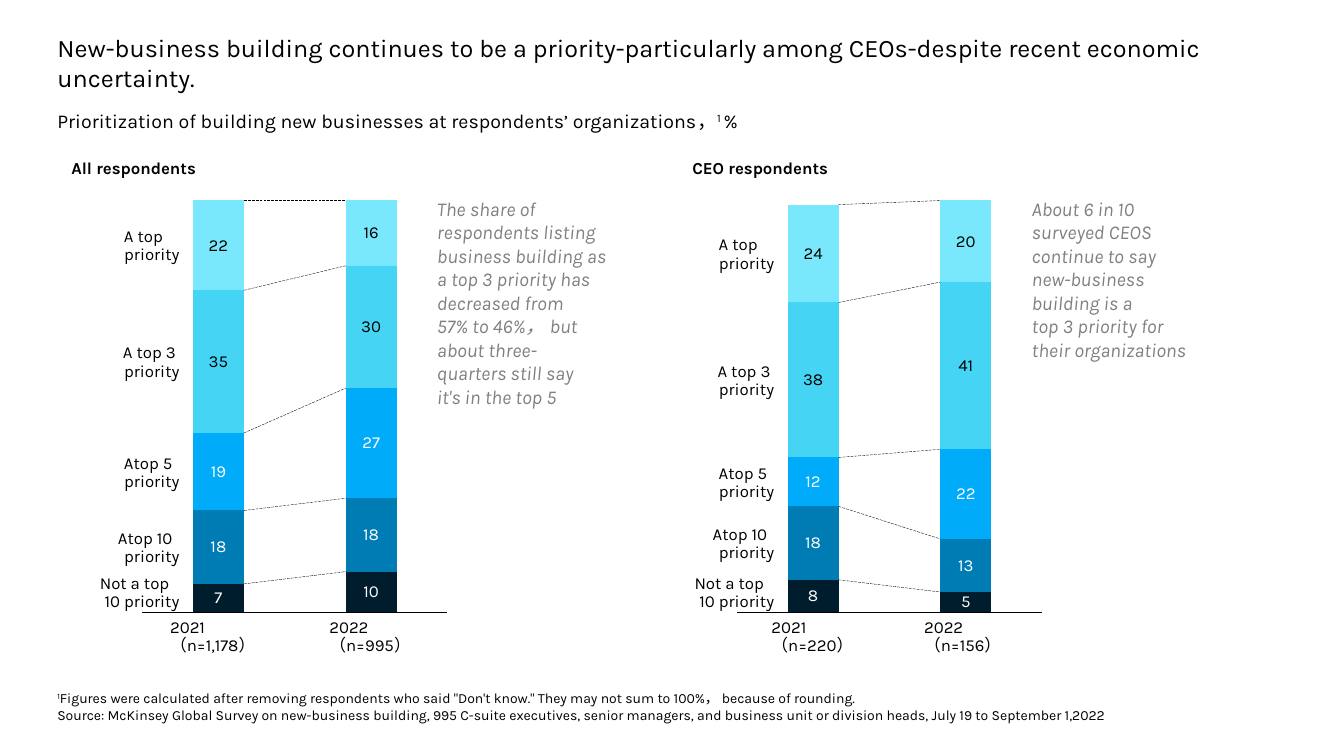
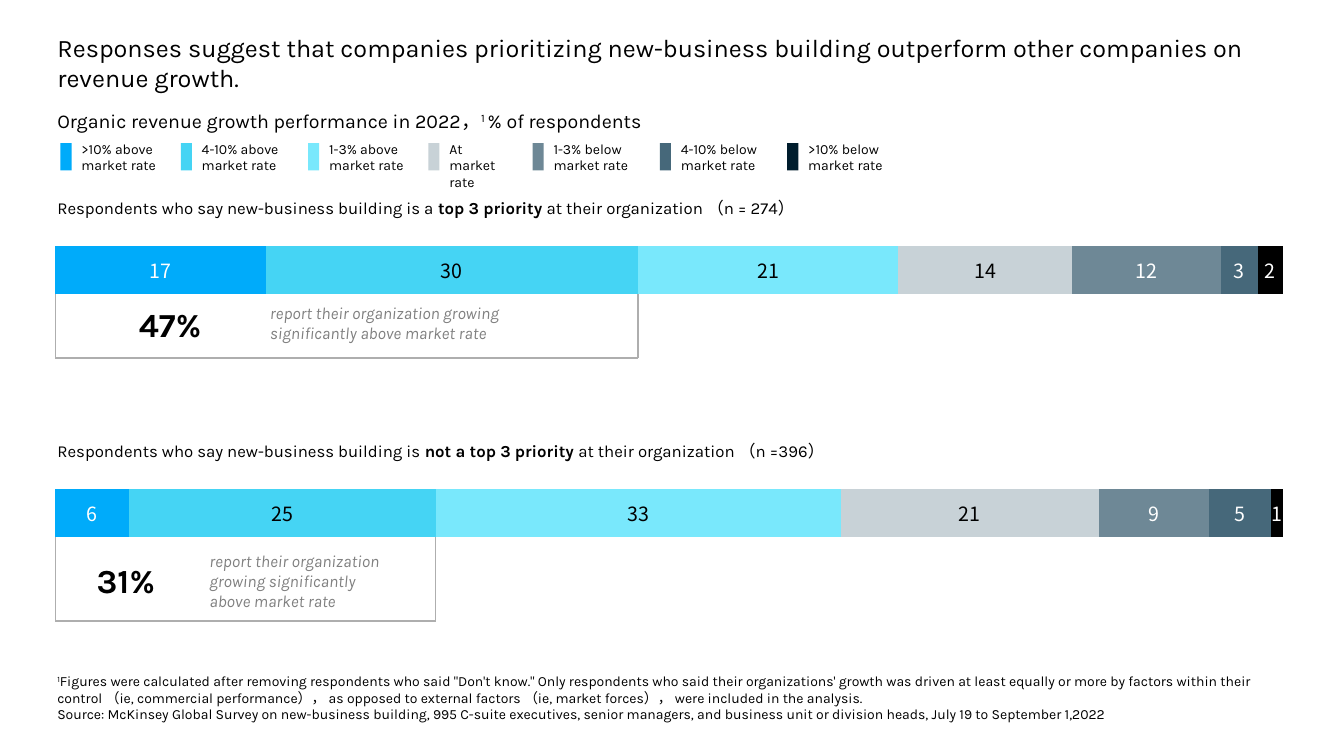
from dataclasses import dataclass
from itertools import accumulate

from lxml import etree
from pptx import Presentation
from pptx import util as u
from pptx.chart import data as chart_data
from pptx.dml.color import RGBColor
from pptx.enum import chart as charts, dml, shapes, text
from pptx.oxml.ns import qn

# Grid: every length below is a number of columns or rows
COLUMNS, ROWS = 40, 30
COLUMN, ROW = u.Inches(13.333) / COLUMNS, u.Inches(7.5) / ROWS
MARGIN, CONTENT_WIDTH, FOOT = 1.41, 36.75, 28.92

# Colours
BLACK = RGBColor(0x00, 0x00, 0x00)
WHITE = RGBColor(0xFF, 0xFF, 0xFF)
GREY = RGBColor(0x80, 0x80, 0x80)
RULE = RGBColor(0xAE, 0xAE, 0xAE)
NAVY = RGBColor(0x00, 0x1D, 0x2D)
OCEAN = RGBColor(0x00, 0x7C, 0xB5)
AZURE = RGBColor(0x00, 0xAB, 0xFA)
SKY = RGBColor(0x45, 0xD4, 0xF4)
ICE = RGBColor(0x79, 0xE8, 0xFC)
SILVER = RGBColor(0xC8, 0xD2, 0xD7)
SLATE = RGBColor(0x6E, 0x88, 0x96)
STEEL = RGBColor(0x46, 0x68, 0x7A)
DARK_FILLS = {NAVY, OCEAN, AZURE, SLATE, STEEL, BLACK}

# Text formats
FONT, NUMBER_FONT = "Karla", "Noto Sans CJK SC"
TITLE = {"size": u.Pt(18)}
SUBTITLE = {"size": u.Pt(14)}
BODY = {"size": u.Pt(12)}
HEADING = {"size": u.Pt(12), "bold": True}
REMARK = {"size": u.Pt(14), "italic": True, "color": GREY}
CALLOUT = {"size": u.Pt(12), "italic": True, "color": GREY}
FIGURE = {"size": u.Pt(24), "bold": True}
SMALL = {"size": u.Pt(10)}
SOURCE = ("Source: McKinsey Global Survey on new-business building, 995 C-suite executives, "
          "senior managers, and business unit or division heads, July 19 to September 1,2022")


@dataclass
class Area:
    left: float
    top: float
    width: float
    height: float

    def emu(self) -> tuple:
        return (round(self.left * COLUMN), round(self.top * ROW),
                round(self.width * COLUMN), round(self.height * ROW))


@dataclass
class Span:
    text: str
    bold: bool = False
    raised: bool = False


@dataclass
class Label:
    lines: tuple
    width: float


@dataclass
class Panel:
    heading: str
    heading_left: float
    heading_width: float
    chart_left: float
    values: list  # one (2021, 2022) pair per priority, from the bottom up
    years: list
    remark: list
    remark_width: float


@dataclass
class Key:
    lines: tuple
    color: RGBColor
    width: float


@dataclass
class Bar:
    heading: list
    heading_width: float
    top: float
    values: list
    bracket_bottom: float
    figure: str
    figure_area: Area
    note: list
    note_area: Area


PRIORITY_COLORS = [NAVY, OCEAN, AZURE, SKY, ICE]
PRIORITIES = [Label(("Not a top", "10 priority"), 2.37), Label(("Atop 10", "priority"), 1.83),
              Label(("Atop 5", "priority"), 1.65), Label(("A top 3", "priority"), 1.68),
              Label(("A top", "priority"), 1.65)]
PANELS = [
    Panel("All respondents", 1.83, 4.38, 3.96,
          [(7, 10), (18, 18), (19, 27), (35, 30), (22, 16)],
          [Label(("2021", "（n=1,178）"), 2.88), Label(("2022", "（n=995）"), 2.49)],
          ["The share of", "respondents listing", "business building as",
           "a top 3 priority has", "decreased from", "57% to 46%， but",
           "about three-", "quarters still say", "it's in the top 5"], 5.91),
    Panel("CEO respondents", 20.31, 4.8, 21.66,
          [(8, 5), (18, 13), (12, 22), (38, 41), (24, 20)],
          [Label(("2021", "（n=220）"), 2.49), Label(("2022", "（n=156）"), 2.49)],
          ["About 6 in 10", "surveyed CEOS", "continue to say", "new-business",
           "building is a", "top 3 priority for", "their organizations"], 5.55),
]
GROWTH_KEYS = [
    Key((">10% above", "market rate"), AZURE, 2.88), Key(("4-10% above", "market rate"), SKY, 3.09),
    Key(("1-3% above", "market rate"), ICE, 2.88), Key(("At market", "rate"), SILVER, 2.4),
    Key(("1-3% below", "market rate"), SLATE, 3.09), Key(("4-10% below", "market rate"), STEEL, 3.09),
    Key((">10% below", "market rate"), NAVY, 2.88),
]
GROWTH_COLORS = [key.color for key in GROWTH_KEYS[:-1]] + [BLACK]
BARS = [
    Bar([Span("Respondents who say new-business building is a "), Span("top 3 priority ", bold=True),
         Span("at their organization （n = 274）")], 22.77, 7.64, [17, 30, 21, 14, 12, 3, 2], 14.2,
        "47%", Area(3.84, 11.88, 2.76, 2),
        ["report their organization growing", "significantly above market rate"],
        Area(7.74, 11.8, 8.16, 2)),
    Bar([Span("Respondents who say new-business building is "), Span("not a top 3 priority ", bold=True),
         Span("at their organization （n =396）")], 23.82, 17.28, [6, 25, 33, 21, 9, 5, 1], 24.64,
        "31%", Area(2.58, 22.04, 2.76, 2),
        ["report their organization", "growing significantly", "above market rate"],
        Area(5.94, 21.64, 7.11, 2.84)),
]


# Text
def set_font(font, style: dict) -> None:
    for name, value in {"name": FONT, "color": BLACK, **style}.items():
        if name == "color":
            font.color.rgb = value
        else:
            setattr(font, name, value)


def fill_text(frame, paragraphs: list, style: dict) -> None:
    """Each paragraph is a string or a list of spans."""
    frame.word_wrap = True
    for index, spans in enumerate(paragraphs):
        para = frame.add_paragraph() if index else frame.paragraphs[0]
        para.alignment = text.PP_ALIGN.LEFT
        for span in [Span(spans)] if isinstance(spans, str) else spans:
            run = para.add_run()
            run.text = span.text
            set_font(run.font, {**style, "bold": span.bold or style.get("bold", False)})
            if span.raised:
                run.font._element.set("baseline", "30000")


def add_text(page, area: Area, paragraphs: list, style: dict):
    frame = page.shapes.add_textbox(*area.emu()).text_frame
    fill_text(frame, paragraphs, style)
    return frame


def add_label(page, area: Area, label: Label, last_line: text.PP_ALIGN) -> None:
    """Two tight lines without insets; the first stands on the left edge."""
    frame = add_text(page, area, list(label.lines), BODY)
    for side in ("left", "right", "top", "bottom"):
        setattr(frame, f"margin_{side}", 0)
    frame.vertical_anchor = text.MSO_ANCHOR.TOP
    for para in frame.paragraphs:
        para.line_spacing = 0.9
    frame.paragraphs[-1].alignment = last_line


# Lines and charts
def add_line(page, start: tuple, end: tuple, color: RGBColor, width: float, dash=None) -> None:
    ends = [round(n * unit) for n, unit in zip(start + end, (COLUMN, ROW) * 2)]
    line = page.shapes.add_connector(shapes.MSO_CONNECTOR.STRAIGHT, *ends)
    line.line.color.rgb, line.line.width = color, u.Pt(width)
    if dash:
        line.line.dash_style = dash
    etree.SubElement(line._element.spPr, qn("a:effectLst"))


def place_plot(chart, share: Area) -> None:
    """Fix the inner plot area as shares of the chart's size."""
    plot_area = chart._chartSpace.chart.plotArea
    for old in plot_area.findall(qn("c:layout")):
        plot_area.remove(old)
    layout = etree.Element(qn("c:layout"))
    manual = etree.SubElement(layout, qn("c:manualLayout"))
    values = {"layoutTarget": "inner", "xMode": "edge", "yMode": "edge", "x": share.left,
              "y": share.top, "w": share.width, "h": share.height}
    for name, value in values.items():
        etree.SubElement(manual, qn(f"c:{name}")).set("val", str(value))
    plot_area.insert(0, layout)


def add_stack(page, area: Area, kind, rows: list, colors: list, share: Area, gap: int,
              axis_color: RGBColor, label_style: dict) -> Area:
    """Draw a stacked chart and return its plot area on the grid."""
    content = chart_data.CategoryChartData()
    content.categories = [str(n + 1) for n in range(len(rows[0]))]
    for number, row in enumerate(rows, 1):
        content.add_series(f"Series {number}", row)
    chart = page.shapes.add_chart(kind, *area.emu(), content).chart
    chart.has_legend = chart.has_title = False
    set_font(chart.font, label_style)
    value_axis, category_axis = chart.value_axis, chart.category_axis
    value_axis.minimum_scale, value_axis.maximum_scale = 0, max(map(sum, zip(*rows)))
    value_axis.visible = value_axis.has_major_gridlines = False
    category_axis.tick_label_position = charts.XL_TICK_LABEL_POSITION.NONE
    category_axis.major_tick_mark = charts.XL_TICK_MARK.NONE
    category_axis.format.line.color.rgb = axis_color
    category_axis.format.line.width = u.Pt(0.75)
    plot = chart.plots[0]
    plot.gap_width, plot.overlap, plot.vary_by_categories = gap, 100, False
    for series, color in zip(plot.series, colors):
        series.format.fill.solid()
        series.format.fill.fore_color.rgb = color
        series.data_labels.show_value = True
        set_font(series.data_labels.font,
                 {**label_style, "color": WHITE if color in DARK_FILLS else BLACK})
    place_plot(chart, share)
    return Area(area.left + share.left * area.width, area.top + share.top * area.height,
                share.width * area.width, share.height * area.height)


# Slide parts
def add_page(deck, title: str, subtitle: list, subtitle_width: float, notes: str, notes_height: float):
    page = deck.slides.add_slide(deck.slide_layouts[5])
    box = page.shapes.title
    box.left, box.top, box.width, box.height = Area(MARGIN, 1.08, CONTENT_WIDTH, 2.84).emu()
    box.text_frame.vertical_anchor = text.MSO_ANCHOR.TOP
    box.text_frame.auto_size = text.MSO_AUTO_SIZE.NONE
    fill_text(box.text_frame, [title], TITLE)
    add_text(page, Area(MARGIN, 4.12, subtitle_width, 1.36), [subtitle], SUBTITLE)
    add_text(page, Area(MARGIN, FOOT - notes_height, CONTENT_WIDTH, notes_height),
             [[Span("1", raised=True), Span(notes)], SOURCE], SMALL)
    return page


def add_panel(page, panel: Panel) -> None:
    add_text(page, Area(panel.heading_left, 6.08, panel.heading_width, 1.2), [panel.heading], HEADING)
    plot = add_stack(page, Area(panel.chart_left, 6.8, 9.63, 18.68), charts.XL_CHART_TYPE.COLUMN_STACKED,
                     panel.values, PRIORITY_COLORS, Area(0.028, 0.062, 0.944, 0.875), 200, BLACK, BODY)
    base, slot = plot.top + plot.height, plot.width / 2
    row_per_point = plot.height / max(map(sum, zip(*panel.values)))
    tops = [[base - total * row_per_point for total in accumulate(column)]
            for column in zip(*panel.values)]
    # A column fills the middle third of its slot
    for first, second in zip(*tops):
        add_line(page, (plot.left + slot * 2 / 3, first), (plot.left + slot * 4 / 3, second),
                 BLACK, 0.25, dml.MSO_LINE.LONG_DASH)
    for label, (value, _), top in zip(PRIORITIES, panel.values, tops[0]):
        middle = min(top + value * row_per_point / 2, 23.48)
        add_label(page, Area(panel.chart_left + 1.38 - label.width, middle - 0.68, label.width, 1.44),
                  label, text.PP_ALIGN.RIGHT)
    # Year boxes leave room for the wide closing bracket
    for index, year in enumerate(panel.years):
        center = plot.left + (index + 0.5) * slot
        add_label(page, Area(center - year.width / 2, 24.56, year.width + 0.75, 1.44),
                  year, text.PP_ALIGN.LEFT)
    add_text(page, Area(panel.chart_left + 8.75, 7.6, panel.remark_width, len(panel.remark)),
             panel.remark, REMARK)


def add_key(page, left: float, key: Key) -> float:
    """Draw one legend entry and return the left edge of the next."""
    swatch = page.shapes.add_shape(shapes.MSO_SHAPE.RECTANGLE, *Area(left, 5.68, 0.33, 1.08).emu())
    swatch.shadow.inherit = False
    swatch.fill.solid()
    swatch.fill.fore_color.rgb = key.color
    swatch.line.fill.background()
    add_text(page, Area(left + 0.33, 5.36, key.width, 1.76), list(key.lines), SMALL)
    return left + 0.33 + key.width + 0.37


def add_bar(page, bar: Bar) -> None:
    plot = add_stack(page, Area(1.38, bar.top, 37.1, 6.1), charts.XL_CHART_TYPE.BAR_STACKED,
                     [[value] for value in bar.values], GROWTH_COLORS, Area(0.007, 0.225, 0.985, 0.56),
                     80, WHITE, {"size": u.Pt(14), "name": NUMBER_FONT})
    add_text(page, Area(MARGIN, bar.top, bar.heading_width, 1.2), [bar.heading], BODY)
    # The bracket spans the first two segments
    left, top, bottom = 1.65, bar.top + 4.04, bar.bracket_bottom
    right = plot.left + plot.width * sum(bar.values[:2]) / sum(bar.values)
    corners = [(left, top), (left, bottom), (right, bottom), (right, top)]
    for start, end in zip(corners, corners[1:]):
        add_line(page, start, end, RULE, 1)
    add_text(page, bar.figure_area, [bar.figure], FIGURE)
    add_text(page, bar.note_area, bar.note, CALLOUT)


def main() -> None:
    deck = Presentation()
    deck.slide_width, deck.slide_height = round(COLUMN * COLUMNS), round(ROW * ROWS)

    # Priority of new-business building
    page = add_page(
        deck, "New-business building continues to be a priority-particularly among CEOs-despite "
        "recent economic uncertainty.",
        [Span("Prioritization of building new businesses at respondents’ organizations，"),
         Span("1 ", raised=True), Span("%")], 21,
        "Figures were calculated after removing respondents who said \"Don't know.\" "
        "They may not sum to 100%， because of rounding.", 1.76)
    for panel in PANELS:
        add_panel(page, panel)

    # Revenue growth
    page = add_page(
        deck, "Responses suggest that companies prioritizing new-business building outperform "
        "other companies on revenue growth.",
        [Span("Organic revenue growth performance in 2022，"), Span("1 ", raised=True),
         Span("% of respondents")], 18.42,
        "Figures were calculated after removing respondents who said \"Don't know.\" Only respondents "
        "who said their organizations' growth was driven at least equally or more by factors within "
        "their control （ie, commercial performance）， as opposed to external factors "
        "（ie, market forces）， were included in the analysis.", 2.44)
    left = 1.8
    for key in GROWTH_KEYS:
        left = add_key(page, left, key)
    for bar in BARS:
        add_bar(page, bar)

    deck.save("out.pptx")


if __name__ == "__main__":
    main()
